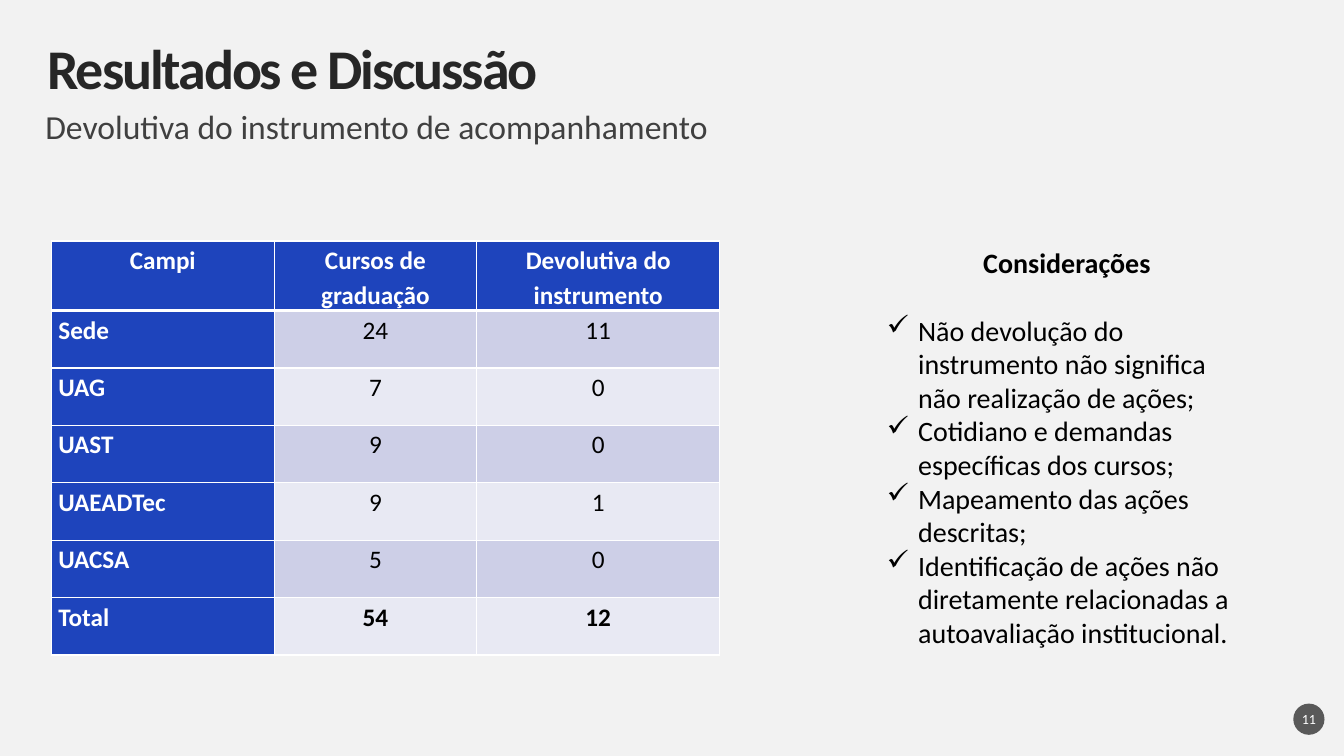
from lxml import etree
from pptx import Presentation
from pptx import util as u
from pptx.dml.color import RGBColor
from pptx.enum import shapes, text
from pptx.oxml import ns

HUE = {"back": "F2F2F2", "title": "262626", "sub": "404040", "badge": "595959",
       "blue": "1E44BC", "dark": "CDCFE7", "light": "E8E9F3",
       "white": "FFFFFF", "black": "000000"}
FONT = "Calibri"
GRID = u.Inches(0.1)
WIDE, HIGH = 133.33, 75
ALIGN = text.PP_ALIGN

HEAD = ["Campi", "Cursos de graduação", "Devolutiva do instrumento"]
ROWS = [("Sede", 24, 11), ("UAG", 7, 0), ("UAST", 9, 0),
        ("UAEADTec", 9, 1), ("UACSA", 5, 0), ("Total", 54, 12)]
NOTES = ["Não devolução do instrumento não significa não realização de ações;",
         "Cotidiano e demandas específicas dos cursos;",
         "Mapeamento das ações descritas;",
         "Identificação de ações não diretamente relacionadas a autoavaliação institucional."]


def box(*cells):
    return [int(n * GRID) for n in cells]


def paint(fill, hue):
    fill.solid()
    fill.fore_color.rgb = RGBColor.from_string(HUE[hue])


def write(par, words, size, hue, bold=False, align=None):
    run = par.add_run()
    run.text = words
    run.font.name = FONT
    run.font.size = u.Pt(size)
    run.font.bold = bold
    run.font.color.rgb = RGBColor.from_string(HUE[hue])
    par.alignment = align
    return run


def tight(shape, anchor):
    frame = shape.text_frame
    frame.margin_left = frame.margin_right = 0
    frame.margin_top = frame.margin_bottom = 0
    frame.word_wrap = True
    frame.auto_size = text.MSO_AUTO_SIZE.NONE
    frame.vertical_anchor = anchor
    return frame.paragraphs[0]


def heading(slide, place):
    title = slide.shapes.title
    title.left, title.top, title.width, title.height = place
    par = tight(title, text.MSO_ANCHOR.MIDDLE)
    par.line_spacing = 0.9
    run = write(par, "Resultados e Discussão", 40, "title", True, ALIGN.LEFT)
    run.font._element.set("spc", "-150")


def subhead(slide, place):
    par = tight(slide.shapes.add_textbox(*place), text.MSO_ANCHOR.TOP)
    par.line_spacing = 0.9
    par.space_before = u.Pt(10)
    write(par, "Devolutiva do instrumento de acompanhamento", 24, "sub")


def badge(slide, place):
    dot = slide.shapes.add_shape(shapes.MSO_SHAPE.OVAL, *place)
    dot.shadow.inherit = False
    paint(dot.fill, "badge")
    dot.line.fill.background()
    write(tight(dot, text.MSO_ANCHOR.MIDDLE), "11", 10, "white", align=ALIGN.CENTER)


def border(cell, row):
    props = cell._tc.get_or_add_tcPr()
    thick = {"lnL": 1, "lnR": 1, "lnT": 3 if row == 1 else 1, "lnB": 3 if row == 0 else 1}
    for side, size in thick.items():
        line = etree.SubElement(props, ns.qn("a:" + side), w=str(u.Pt(size)))
        fill = etree.SubElement(line, ns.qn("a:solidFill"))
        etree.SubElement(fill, ns.qn("a:srgbClr"), val=HUE["white"])


def campi(slide, place):
    grid = [HEAD] + ROWS
    table = slide.shapes.add_table(len(grid), len(HEAD), *place).table
    for col, share in zip(table.columns, (22.1, 20.1, 24.1)):
        col.width = int(place[2] * share / 66.3)
    for r, row in enumerate(grid):
        table.rows[r].height = place[3] // len(grid)
        for c, value in enumerate(row):
            cell = table.cell(r, c)
            cell.margin_left = cell.margin_right = u.Inches(0.07)
            cell.margin_top = cell.margin_bottom = 0
            border(cell, r)
            label = r == 0 or c == 0
            paint(cell.fill, "blue" if label else "dark" if r % 2 else "light")
            par = cell.text_frame.paragraphs[0]
            par.line_spacing = 1.15
            write(par, str(value), 18, "white" if label else "black",
                  label or r == len(ROWS),
                  ALIGN.JUSTIFY if r and c == 0 else ALIGN.CENTER)


def remarks(slide, place):
    frame = slide.shapes.add_textbox(*place).text_frame
    frame.word_wrap = True
    first = frame.paragraphs[0]
    first.space_after = u.Pt(24)
    write(first, "Considerações", 20, "black", True, ALIGN.CENTER)
    dent = u.Inches(0.31)
    for note in NOTES:
        par = frame.add_paragraph()
        write(par, note, 20, "black")
        props = par._p.get_or_add_pPr()
        props.set("marL", str(dent))
        props.set("indent", str(-dent))
        etree.SubElement(props, ns.qn("a:buChar"), char="✓")


def main():
    deck = Presentation()
    deck.slide_width, deck.slide_height = box(WIDE, HIGH)
    slide = deck.slides.add_slide(deck.slide_layouts[5])
    paint(slide.background.fill, "back")
    heading(slide, box(4.7, 4.7, 123.9, 4.7))
    badge(slide, box(128.3, 69.8, 3.1, 3.1))
    subhead(slide, box(4.5, 11, 117.6, 4.7))
    remarks(slide, box(87, 23.9, 37.7, 41.4))
    campi(slide, box(5.1, 23.9, 66.3, 39.9))
    deck.save("out.pptx")


if __name__ == "__main__":
    main()
